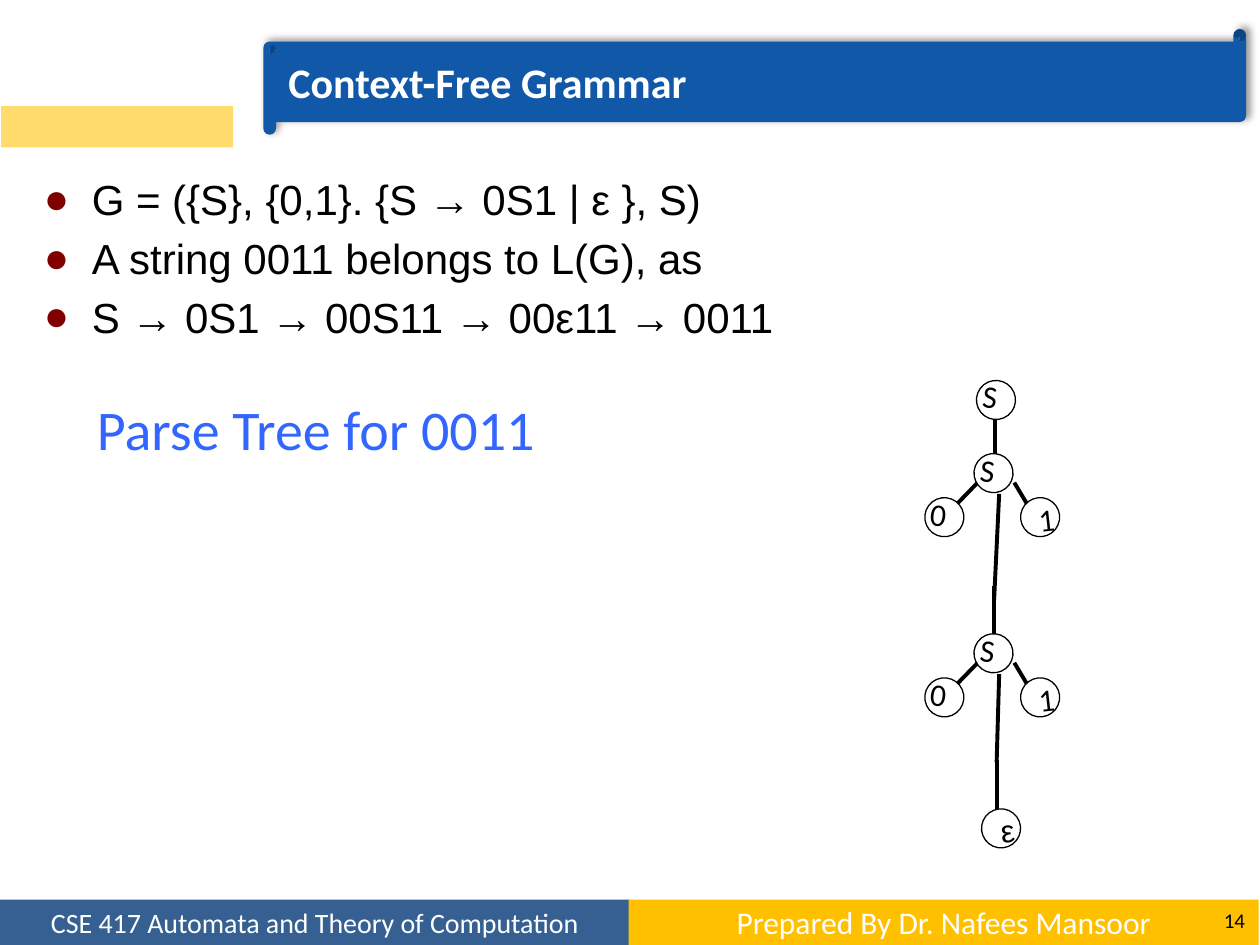
from lxml.etree import SubElement
from pptx import Presentation
from pptx.dml.color import RGBColor
from pptx.enum.shapes import MSO_CONNECTOR, MSO_SHAPE
from pptx.enum.text import MSO_ANCHOR, PP_ALIGN
from pptx.oxml import parse_xml
from pptx.oxml.ns import nsdecls, qn
from pptx.util import Inches, Pt

BLACK = RGBColor(0x00, 0x00, 0x00)
WHITE = RGBColor(0xFF, 0xFF, 0xFF)
BANNER_BLUE = RGBColor(0x11, 0x58, 0xA9)
FOOTER_BLUE = RGBColor(0x36, 0x60, 0x92)
FOOTER_GOLD = RGBColor(0xFF, 0xC0, 0x00)
PALE_GOLD = RGBColor(0xFF, 0xDC, 0x6D)
TITLE_BLUE = RGBColor(0x33, 0x66, 0xFF)
BULLET_RED = "800000"

BARS = [
    ((0, 7.14, 5, 0.36), FOOTER_BLUE, "CSE 417 Automata and Theory of Computation", 16),
    ((4.99, 7.14, 5, 0.36), FOOTER_GOLD, "Prepared By Dr. Nafees Mansoor", 18),
    ((0.01, 0.84, 1.84, 0.33), PALE_GOLD, "", 18),
]
BULLETS = [
    "G = ({S}, {0,1}. {S → 0S1 | ε }, S)",
    "A string 0011 belongs to L(G), as",
    "S → 0S1 → 00S11 → 00ε11 → 0011",
]
NODE_SIZE = 0.31
TILT = 6.4
BRANCH_NODES = [("S", 7.73, 0), ("1", 8.1, 0.35), ("0", 7.34, 0.35)]
BRANCH_EDGES = [((7.42, 0.58), (7.76, 0.23)), ((8.3, 0.65), (8.05, 0.23))]
BRANCHES = [
    (3.6, (7.89, 4.76), (7.93, 3.92)),
    (5.03, (7.91, 6.05), (7.93, 5.35)),
]
STEMS = [(7.9, 3.64, 3.23), (7.89, 5.06, 4.65), (7.91, 6.45, 6.03)]

deck = Presentation()
deck.slide_width, deck.slide_height = Inches(10), Inches(7.5)
page = deck.slides.add_slide(deck.slide_layouts[6])


def add_text(para, text, size, color, font="Calibri", bold=False):
    span = para.add_run()
    span.text = text
    span.font.name = font
    span.font.size = Pt(size)
    span.font.bold = bold
    span.font.color.rgb = color


def add_box(place, anchor=MSO_ANCHOR.MIDDLE):
    box = page.shapes.add_textbox(*map(Inches, place))
    box.text_frame.word_wrap = True
    box.text_frame.vertical_anchor = anchor
    return box.text_frame


def add_filled(parent, kind, place, color):
    shape = parent.shapes.add_shape(kind, *map(Inches, place))
    shape.shadow.inherit = False
    shape.fill.solid()
    shape.fill.fore_color.rgb = color
    shape.line.fill.background()
    shape.text_frame.vertical_anchor = MSO_ANCHOR.MIDDLE
    return shape


def add_edge(parent, start, end):
    edge = parent.shapes.add_connector(MSO_CONNECTOR.STRAIGHT, *map(Inches, start + end))
    edge.line.color.rgb = BLACK
    edge.line.width = Pt(2.25)
    SubElement(edge._element.spPr, qn("a:effectLst"))


def add_node(parent, label, left, top):
    node = add_filled(parent, MSO_SHAPE.OVAL, (left, top, NODE_SIZE, NODE_SIZE), WHITE)
    node.line.color.rgb = BLACK
    node.line.width = Pt(0.75)
    leans_right = label in "S0"
    node.rotation = TILT if leans_right else -TILT
    frame = node.text_frame
    frame.word_wrap = False
    frame.margin_left, frame.margin_right = map(Inches, (0, 0.1) if leans_right else (0.1, 0))
    frame.margin_top, frame.margin_bottom = map(Inches, (0, 0.05) if leans_right else (0.04, 0))
    para = frame.paragraphs[0]
    para.alignment = PP_ALIGN.CENTER
    add_text(para, label, 18, BLACK, "Arial" if label == "ε" else "Calibri")


def add_stem(index):
    x, bottom, top = STEMS[index]
    add_edge(page, (x, bottom), (x, top))


def add_branch(top, trunk_start, trunk_end):
    branch = page.shapes.add_group_shape()
    for start, end in BRANCH_EDGES:
        add_edge(branch, (start[0], top + start[1]), (end[0], top + end[1]))
    for label, left, drop in BRANCH_NODES:
        add_node(branch, label, left, top + drop)
    add_edge(branch, trunk_start, trunk_end)


for place, color, text, size in BARS:
    bar = add_filled(page, MSO_SHAPE.RECTANGLE, place, color)
    if text:
        para = bar.text_frame.paragraphs[0]
        para.alignment = PP_ALIGN.CENTER
        add_text(para, text, size, WHITE)

number = add_box((9.33, 7.1, 0.65, 0.4)).paragraphs[0]
number.alignment = PP_ALIGN.RIGHT
add_text(number, "14", 12, BLACK)

body = add_box((0.25, 1.33, 9.25, 2.17), MSO_ANCHOR.TOP)
for index, text in enumerate(BULLETS):
    para = body.add_paragraph() if index else body.paragraphs[0]
    para.space_before = Pt(4.8 if index else 0)
    props = para._p.get_or_add_pPr()
    props.set("marL", str(Inches(0.38)))
    props.set("indent", str(-Inches(0.38)))
    bullet_color = SubElement(props, qn("a:buClr"))
    SubElement(bullet_color, qn("a:srgbClr")).set("val", BULLET_RED)
    SubElement(props, qn("a:buFont")).set("typeface", "Arial")
    SubElement(props, qn("a:buChar")).set("char", "●")
    add_text(para, text, 24, BLACK, "Arial")

banner = add_filled(page, MSO_SHAPE.HORIZONTAL_SCROLL, (2.09, 0.23, 7.8, 0.84), BANNER_BLUE)
banner.adjustments[0] = 0.12
banner_props = banner._element.spPr
banner_props.replace(banner_props.find(qn("a:effectLst")), parse_xml(
    f'<a:effectLst {nsdecls("a")}><a:outerShdw blurRad="{Pt(4)}" dist="{Pt(3)}" '
    'dir="18900000" algn="bl" rotWithShape="0"><a:srgbClr val="000000">'
    '<a:alpha val="40000"/></a:srgbClr></a:outerShdw></a:effectLst>'))
heading = banner.text_frame.paragraphs[0]
heading.alignment = PP_ALIGN.LEFT
add_text(heading, "Context-Free Grammar", 24, WHITE, bold=True)

title = add_box((0.67, 3.04, 3.91, 0.71)).paragraphs[0]
add_text(title, "Parse Tree for 0011", 32, TITLE_BLUE)

add_stem(0)
add_branch(*BRANCHES[0])
add_node(page, "S", 7.75, 3.02)
add_stem(1)
add_stem(2)
add_node(page, "ε", 7.79, 6.42)
add_branch(*BRANCHES[1])

deck.save("out.pptx")
